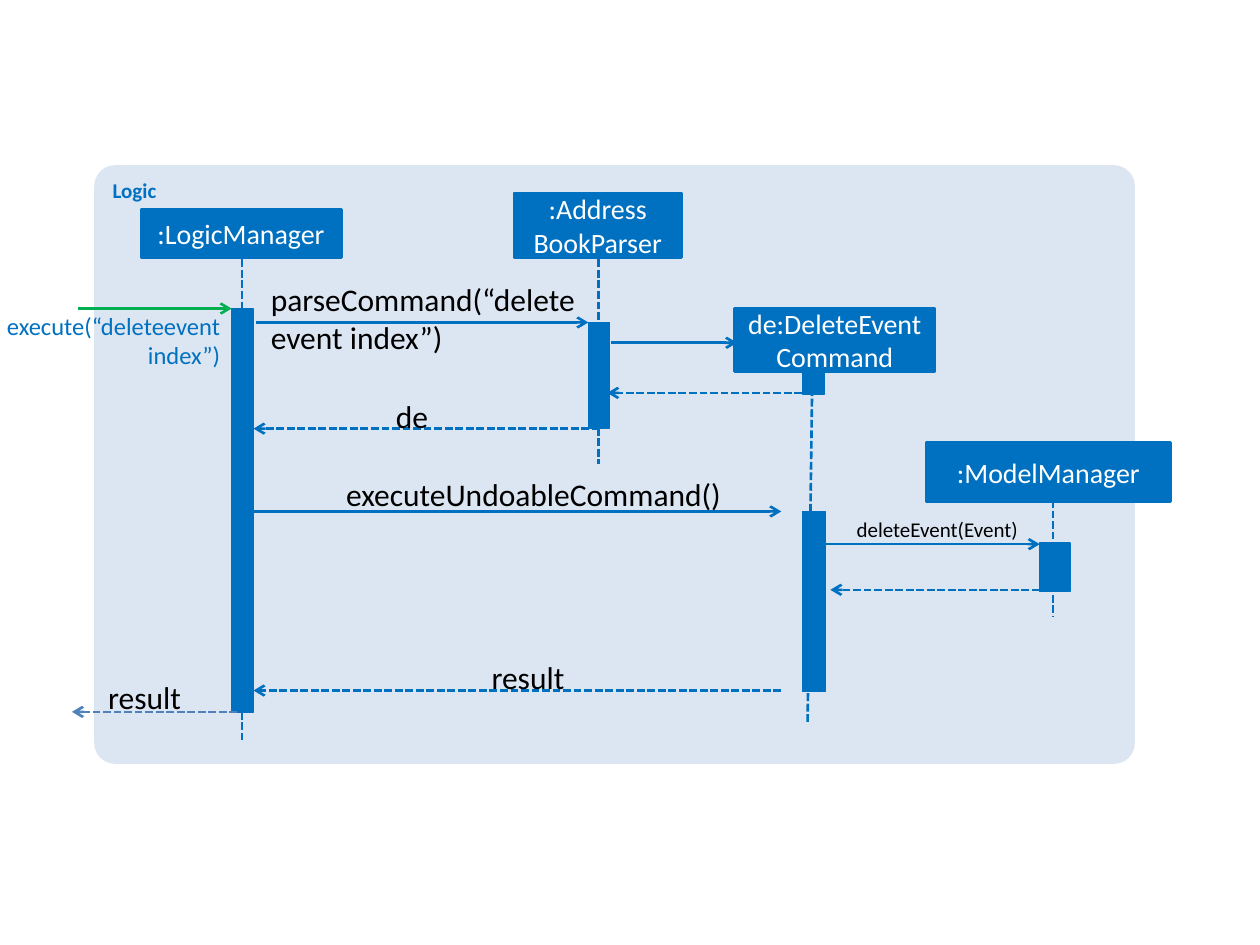
from dataclasses import dataclass

from lxml.etree import SubElement
from pptx import Presentation
from pptx.dml.color import RGBColor
from pptx.enum.dml import MSO_LINE_DASH_STYLE as Dash
from pptx.enum.shapes import MSO_CONNECTOR as Connector, MSO_SHAPE as Shape
from pptx.enum.text import MSO_ANCHOR as Anchor, MSO_AUTO_SIZE as AutoSize, PP_ALIGN as Align
from pptx.oxml.ns import qn
from pptx.util import Cm, Pt


@dataclass(frozen=True)
class Theme:
    font: str = "Calibri"
    main: str = "0070C0"
    panel: str = "DCE6F2"
    call: str = "00B050"
    reply: str = "4F81BD"
    light: str = "FFFFFF"
    dark: str = "000000"
    small: int = 12
    medium: int = 14
    head: int = 16
    large: int = 18
    stroke: float = 1.5
    thin: float = 0.75


THEME = Theme()

PARTICIPANTS = [
    (":LogicManager", 2.84, 4.22, 4.04, 0.97),
    (":Address\nBookParser", 10.36, 3.89, 3.38, 1.3),
    ("de:DeleteEvent\vCommand", 14.81, 6.22, 4.04, 1.27),
    (":ModelManager", 18.67, 8.92, 4.93, 1.19),
]
LIFELINES = [
    (4.88, 5.23, 4.88, 14.91),
    (12.07, 5.23, 12.07, 9.35),
    (16.38, 7.19, 16.28, 14.55),
    (21.23, 10.08, 21.23, 12.42),
]
ACTIVATIONS = [
    (4.67, 6.22, 0.43, 8.15),
    (11.86, 6.5, 0.43, 2.13),
    (16.18, 7.19, 0.43, 0.76),
    (16.18, 10.31, 0.46, 3.63),
    (20.96, 10.95, 0.61, 0.97),
]
CALLS = [
    (1.57, 4.67, 6.22, THEME.call),
    (5.16, 11.86, 6.5, THEME.main),
    (12.32, 14.86, 6.91, THEME.main),
    (5.11, 15.75, 10.31, THEME.main),
    (16.64, 20.96, 10.97, THEME.main),
]
RETURNS = [
    (16.38, 12.24, 7.92, THEME.main),
    (12.09, 5.11, 8.64, THEME.main),
    (20.96, 16.74, 11.89, THEME.main),
    (15.75, 5.11, 13.92, THEME.main),
    (4.78, 1.45, 14.35, THEME.reply),
]
LABELS = [
    ("parseCommand(“deleteevent index”)", 5.46, 5.64, 6.2, 1.55),
    ("de", 7.98, 8, 0.89, 0.76),
    ("executeUndoableCommand()", 6.98, 9.58, 7.85, 0.76),
    ("result", 9.91, 13.26, 1.73, 0.61),
    ("result", 2.18, 13.67, 2.11, 0.61),
]


def rgb(color):
    return RGBColor.from_string(color)


def write(frame, text, size=THEME.large, color=THEME.dark, bold=False,
          align=Align.LEFT, anchor=Anchor.TOP):
    frame.text = text
    frame.word_wrap = True
    frame.vertical_anchor = anchor
    for paragraph in frame.paragraphs:
        paragraph.alignment = align
        for run in paragraph.runs:
            run.font.name = THEME.font
            run.font.size = Pt(size)
            run.font.bold = bold
            run.font.color.rgb = rgb(color)


def add_block(slide, box, kind=Shape.RECTANGLE, fill=THEME.main, stroke=None):
    block = slide.shapes.add_shape(kind, *map(Cm, box))
    block.shadow.inherit = False
    block.fill.solid()
    block.fill.fore_color.rgb = rgb(fill)
    if stroke:
        block.line.color.rgb = rgb(fill)
        block.line.width = Pt(stroke)
    else:
        block.line.fill.background()
    return block


def add_line(slide, ends, color=THEME.main, dashed=False, arrow=False):
    line = slide.shapes.add_connector(Connector.STRAIGHT, *map(Cm, ends))
    line.line.color.rgb = rgb(color)
    line.line.width = Pt(THEME.stroke)
    if dashed:
        line.line.dash_style = Dash.SQUARE_DOT
    properties = line._element.spPr
    if arrow:
        SubElement(properties.find(qn("a:ln")), qn("a:tailEnd"), type="arrow")
    SubElement(properties, qn("a:effectLst"))


def add_message(slide, start, end, y, color, dashed):
    add_line(slide, (start, y, end, y), color=color, dashed=dashed, arrow=True)


def add_label(slide, text, *box, **style):
    frame = slide.shapes.add_textbox(*map(Cm, box)).text_frame
    frame.margin_left = frame.margin_right = frame.margin_top = frame.margin_bottom = 0
    write(frame, text, **style)
    frame.auto_size = AutoSize.SHAPE_TO_FIT_TEXT


def add_participant(slide, name, *box):
    head = add_block(slide, box, stroke=THEME.stroke)
    write(head.text_frame, name, size=THEME.head, color=THEME.light,
          align=Align.CENTER, anchor=Anchor.MIDDLE)


def add_component(slide, name, box):
    component = add_block(slide, box, kind=Shape.ROUNDED_RECTANGLE, fill=THEME.panel)
    component.adjustments[0] = 0.035
    write(component.text_frame, name, size=THEME.small, color=THEME.main, bold=True)


def main():
    deck = Presentation()
    deck.slide_width, deck.slide_height = Cm(25.4), Cm(19.05)
    slide = deck.slides.add_slide(deck.slide_layouts[6])

    add_component(slide, "Logic", (1.9, 3.33, 20.98, 12.07))
    for ends in LIFELINES:
        add_line(slide, ends, dashed=True)
    for box in ACTIVATIONS:
        add_block(slide, box, stroke=THEME.thin)
    for participant in PARTICIPANTS:
        add_participant(slide, *participant)
    for messages, dashed in ((CALLS, False), (RETURNS, True)):
        for message in messages:
            add_message(slide, *message, dashed=dashed)
    for label in LABELS:
        add_label(slide, *label)
    add_label(slide, "execute(“deleteevent index”)", -0.03, 6.27, 4.47, 1.19,
              size=THEME.medium, color=THEME.main, align=Align.RIGHT)
    add_label(slide, "deleteEvent(Event)", 17.27, 10.41, 3.4, 0.51, size=THEME.small)

    deck.save("out.pptx")


main()
